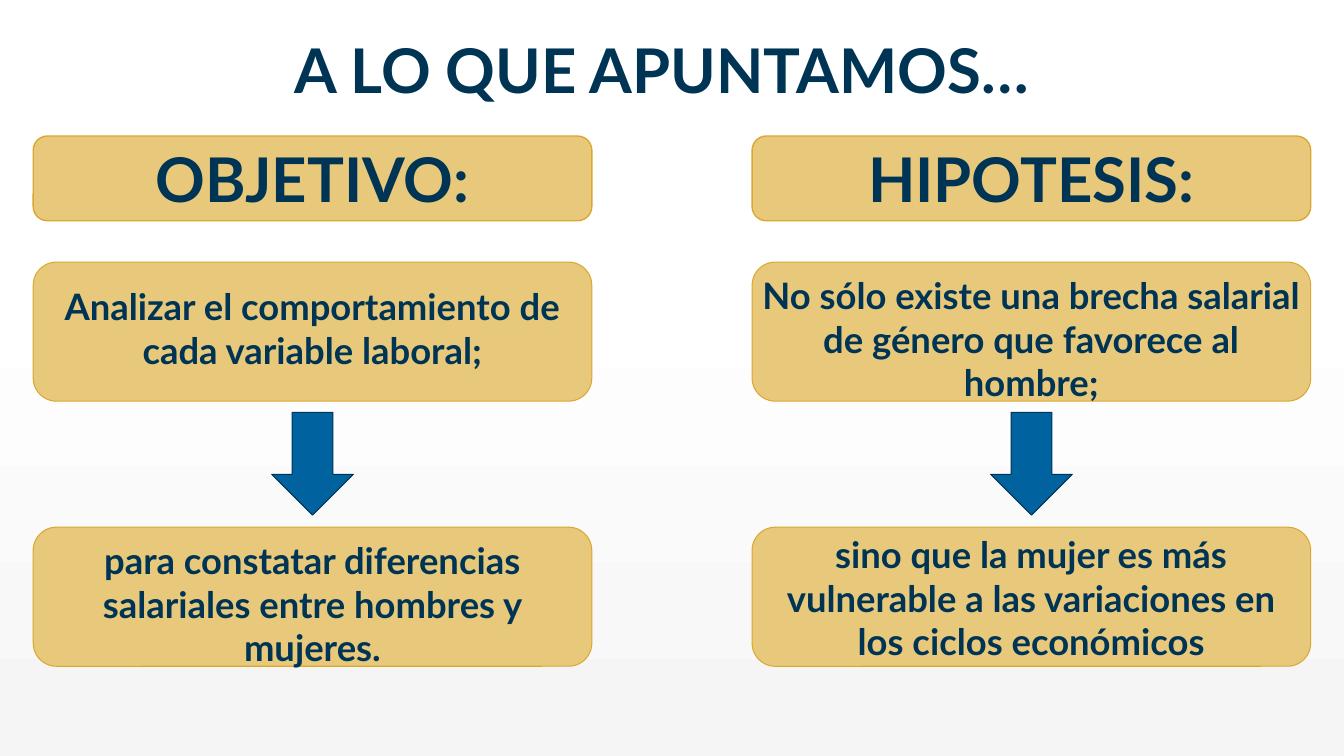
from pptx import Presentation
from pptx.dml.color import RGBColor
from pptx.enum.shapes import MSO_SHAPE as Shape
from pptx.enum.text import MSO_ANCHOR as Anchor, MSO_AUTO_SIZE as AutoSize, PP_ALIGN as Align
from pptx.util import Inches, Pt

TITLE = " A LO QUE APUNTAMOS…"
# Each column: left edge, heading, then (text, offset of the text below the card's top)
COLUMNS = [
    (0.33, "OBJETIVO:", [
        ("Analizar el comportamiento de cada variable laboral;", 0.17),
        ("para constatar diferencias salariales entre hombres y mujeres.", 0.06)]),
    (7.46, "HIPOTESIS:", [
        ("No sólo existe una brecha salarial de género que favorece al hombre;", 0.06),
        ("sino que la mujer es más vulnerable a las variaciones en los ciclos económicos", 0)]),
]
NAVY, BLUE, SAND, GOLD = "003454", "00629E", "E8C97C", "DAA82E"
BACKGROUND_STOPS = [("F5F5F5", 0), ("FFFFFF", 0.64)]
CARD_WIDTH = 5.54
HEADING_TOP, HEADING_HEIGHT, HEADING_TEXT_WIDTH = 1.35, 0.84, 3.52
CARD_TOPS, CARD_HEIGHT, CARD_TEXT_HEIGHT = (2.6, 5.23), 1.38, 1.26
ARROW_TOP, ARROW_WIDTH, ARROW_HEIGHT = 4.09, 0.81, 1.02


def color(value):
    return RGBColor.from_string(value)


def add_figure(shapes, kind, place, fill, line, weight):
    figure = shapes.add_shape(kind, *map(Inches, place))
    figure.shadow.inherit = False
    figure.fill.solid()
    figure.fill.fore_color.rgb = color(fill)
    figure.line.color.rgb = color(line)
    figure.line.width = Pt(weight)


def add_text(shapes, place, text, size, align=Align.CENTER, auto_size=AutoSize.NONE):
    frame = shapes.add_textbox(*map(Inches, place)).text_frame
    for name, value in {"word_wrap": True, "auto_size": auto_size,
                        "vertical_anchor": Anchor.TOP}.items():
        setattr(frame, name, value)
    para = frame.paragraphs[0]
    para.alignment = align
    span = para.add_run()
    span.text = text
    for name, value in {"name": "Lato", "size": Pt(size), "bold": True}.items():
        setattr(span.font, name, value)
    span.font.color.rgb = color(NAVY)


def add_card(page, place, weight, text_place, text, size):
    """Group a rounded card with the text lying over it."""
    shapes = page.shapes.add_group_shape().shapes
    add_figure(shapes, Shape.ROUNDED_RECTANGLE, place, SAND, GOLD, weight)
    add_text(shapes, text_place, text, size)


def add_column(page, left, heading, cards):
    center = left + CARD_WIDTH / 2
    add_card(page, (left, HEADING_TOP, CARD_WIDTH, HEADING_HEIGHT), 1,
             (center - HEADING_TEXT_WIDTH / 2, HEADING_TOP, HEADING_TEXT_WIDTH, HEADING_HEIGHT),
             heading, 44)
    add_figure(page.shapes, Shape.DOWN_ARROW,
               (center - ARROW_WIDTH / 2, ARROW_TOP, ARROW_WIDTH, ARROW_HEIGHT), BLUE, NAVY, 0.75)
    for top, (text, offset) in zip(CARD_TOPS, cards):
        add_card(page, (left, top, CARD_WIDTH, CARD_HEIGHT), 0.75,
                 (left, top + offset, CARD_WIDTH, CARD_TEXT_HEIGHT), text, 26)


def main():
    deck = Presentation()
    deck.slide_width, deck.slide_height = Inches(13.33), Inches(7.5)
    page = deck.slides.add_slide(deck.slide_layouts[6])

    backdrop = page.background.fill
    backdrop.gradient()
    backdrop.gradient_angle = 90
    for stop, (value, position) in zip(backdrop.gradient_stops, BACKGROUND_STOPS):
        stop.color.rgb = color(value)
        stop.position = position

    add_text(page.shapes, (2.7, 0.27, 8.97, 0.84), TITLE, 44, Align.LEFT,
             AutoSize.SHAPE_TO_FIT_TEXT)
    for column in COLUMNS:
        add_column(page, *column)
    deck.save("out.pptx")


if __name__ == "__main__":
    main()
